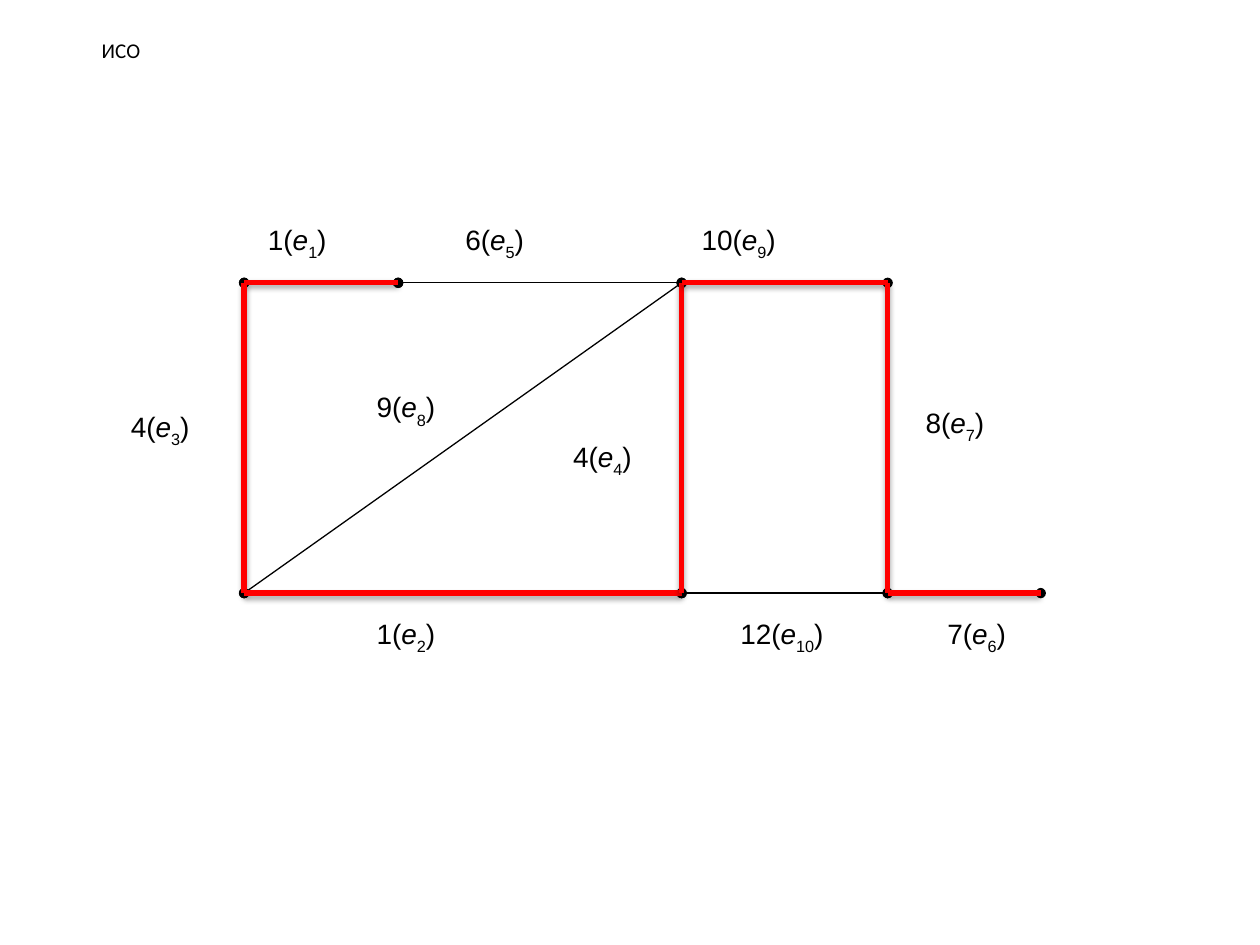
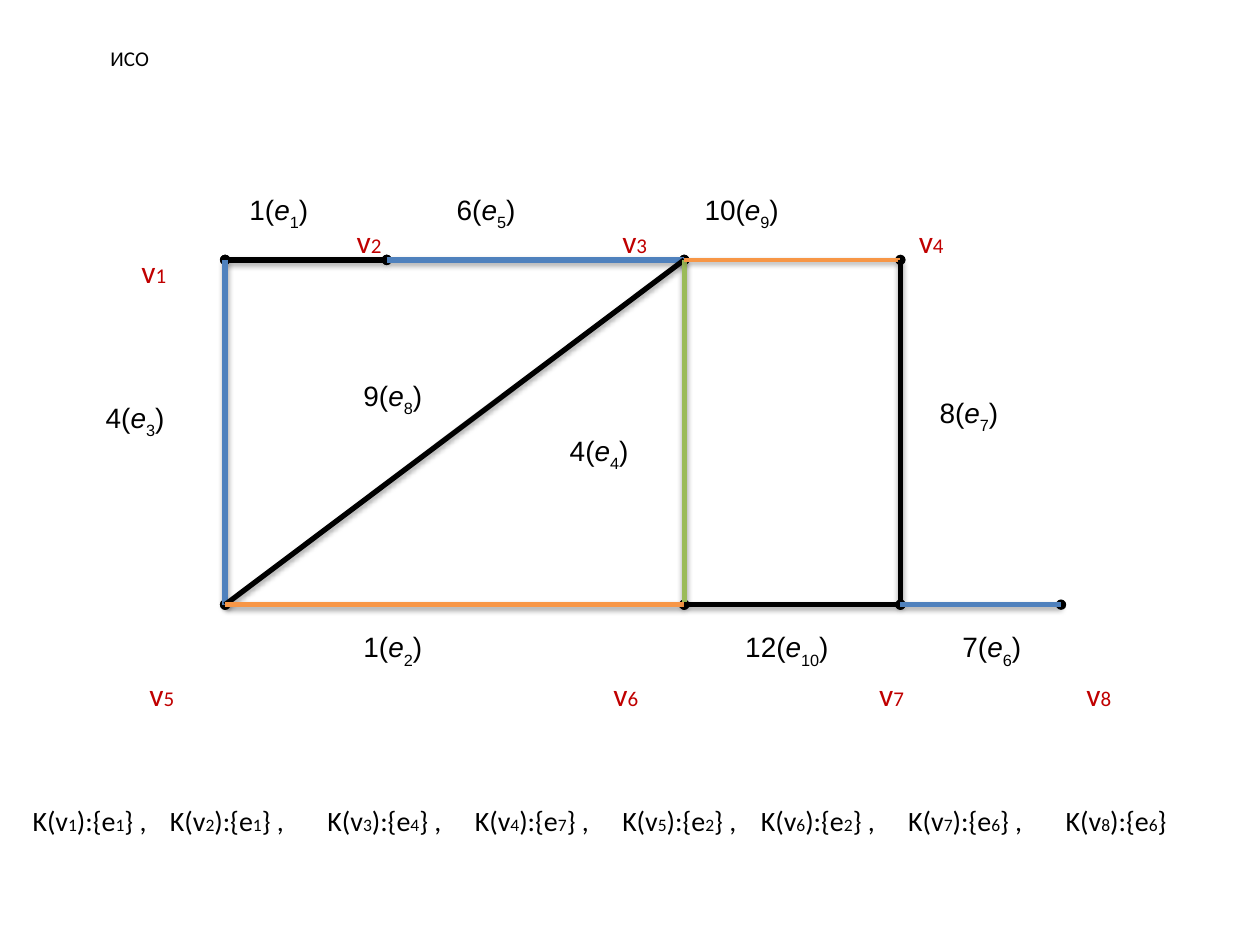
from dataclasses import dataclass
from typing import NamedTuple

from lxml import etree
from pptx import Presentation
from pptx.dml.color import RGBColor
from pptx.enum.shapes import MSO_CONNECTOR, MSO_SHAPE
from pptx.enum.text import MSO_ANCHOR, PP_ALIGN
from pptx.oxml.ns import qn
from pptx.util import Inches, Pt

STRAIGHT = MSO_CONNECTOR.STRAIGHT
RECTANGLE = MSO_SHAPE.RECTANGLE
TOP, MIDDLE = MSO_ANCHOR.TOP, MSO_ANCHOR.MIDDLE
LEFT, CENTER = PP_ALIGN.LEFT, PP_ALIGN.CENTER


@dataclass(frozen=True)
class Theme:
    """Colours, fonts and sizes shared by the slides."""

    black: str = "000000"
    white: str = "FFFFFF"
    red: str = "FF0000"
    dark_red: str = "C00000"
    blue: str = "4F81BD"
    green: str = "9BBB59"
    orange: str = "F79646"
    body_font: str = "Calibri"
    edge_font: str = "Arial"
    title_size: int = 12
    edge_size: int = 16
    vertex_size: int = 18
    vertex_index_size: int = 12
    cut_size: int = 16
    cut_index_size: int = 10
    thin: float = 0.75
    medium: float = 2
    thick: float = 3


class Box(NamedTuple):
    """A box in inches that can be divided by percent."""

    left: float
    top: float
    width: float
    height: float

    def point(self, column, row):
        """Return the place of a column and row in percent."""
        return self.left + self.width * column / 100, self.top + self.height * row / 100

    def inner(self, column, row, width, height):
        """Return an inner box given in percent."""
        return Box(*self.point(column, row), self.width * width / 100, self.height * height / 100)


class Edge(NamedTuple):
    """A weighted edge with the place of its label."""

    start: int
    end: int
    weight: int
    label: tuple
    dotted: bool = True


THEME = Theme()
SLIDE = Box(0, 0, 10, 7.5)
UPPER, LOWER = 14.7, 83.4
VERTICES = {
    1: (13.3, UPPER), 2: (29.6, UPPER), 3: (59.6, UPPER), 4: (81.4, UPPER),
    5: (13.3, LOWER), 6: (59.6, LOWER), 7: (81.4, LOWER), 8: (97.6, LOWER),
}
VERTEX_LABELS = {
    1: (3.6, 11.8), 2: (25.3, 6), 3: (52.1, 6), 4: (82, 6),
    5: (4.4, 96.2), 6: (51.2, 96.2), 7: (78, 96.2), 8: (98.9, 96.2),
}
EDGES = {
    1: Edge(1, 2, 1, (14.5, 0, 13.6, 10.9)),
    5: Edge(2, 3, 6, (35.4, 0, 13.6, 10.9)),
    9: Edge(3, 4, 10, (60.4, 0, 16.4, 13.1)),
    3: Edge(1, 5, 4, (0, 41.4, 11.5, 11.5)),
    2: Edge(5, 6, 1, (26, 87.2, 13.1, 12.8)),
    8: Edge(5, 3, 9, (26, 37, 9.4, 11.5), False),
    4: Edge(3, 6, 4, (46.8, 48, 10.9, 14), False),
    10: Edge(6, 7, 12, (64.5, 87.2, 12.6, 12.8)),
    7: Edge(4, 7, 8, (84.1, 40.5, 11.6, 11.8), False),
    6: Edge(7, 8, 7, (86.4, 87.2, 13.6, 12.8)),
}
TREE_EDGES = dict.fromkeys((1, 3, 2, 4, 9, 7, 6), (THEME.red, THEME.thick))
COLOURED_EDGES = {
    1: (THEME.black, THEME.thick),
    3: (THEME.blue, THEME.thick),
    5: (THEME.blue, THEME.thick),
    8: (THEME.black, THEME.thick),
    4: (THEME.green, THEME.thick),
    9: (THEME.orange, THEME.medium),
    7: (THEME.black, THEME.thick),
    2: (THEME.orange, THEME.thick),
    10: (THEME.black, THEME.thick),
    6: (THEME.blue, THEME.thick),
}
CUT_LEFTS = (1.6, 12.5, 25, 36.7, 48.4, 59.4, 71.1, 83.6)
CUT_EDGES = (1, 1, 4, 7, 2, 2, 6, 6)


def inches(values):
    """Convert numbers to lengths."""
    return [Inches(value) for value in values]


def write(shape, spans, colour, align=LEFT, anchor=TOP):
    """Fill a shape with one paragraph of (text, format) spans."""
    frame = shape.text_frame
    frame.word_wrap = True
    frame.vertical_anchor = anchor
    para = frame.paragraphs[0]
    para.alignment = align
    for text, style in spans:
        span = para.add_run()
        span.text = text
        span.font.color.rgb = RGBColor.from_string(colour)
        for name, value in style.items():
            setattr(span.font, name, value)
    return para


def add_text(page, box, spans, colour, **layout):
    """Add a text box."""
    write(page.shapes.add_textbox(*inches(box)), spans, colour, **layout)


def font(name, size, **extra):
    """Return the format values of a span."""
    return {"name": name, "size": Pt(size), **extra}


def add_shadow(effects, width):
    """Add the soft shadow below a highlighted edge."""
    heavy = width == THEME.thick
    shadow = etree.SubElement(effects, qn("a:outerShdw"), {
        "blurRad": str(Pt(3.1)), "dist": str(Pt(1.8 if heavy else 1.6)),
        "dir": "5400000", "rotWithShape": "0",
    })
    colour = etree.SubElement(shadow, qn("a:srgbClr"), val=THEME.black)
    etree.SubElement(colour, qn("a:alpha"), val="35000" if heavy else "38000")


def add_edge(page, box, edge, colour, width, dotted=False, shadow=False):
    """Draw an edge between its two vertices."""
    ends = box.point(*VERTICES[edge.start]) + box.point(*VERTICES[edge.end])
    line = page.shapes.add_connector(STRAIGHT, *inches(ends))
    line.line.color.rgb = RGBColor.from_string(colour)
    line.line.width = Pt(width)
    if dotted:
        for tag in ("a:headEnd", "a:tailEnd"):
            etree.SubElement(line.line._get_or_add_ln(), qn(tag), type="oval")
    effects = etree.SubElement(line._element.spPr, qn("a:effectLst"))
    if shadow:
        add_shadow(effects, width)


def add_edge_label(page, box, number, edge):
    """Write the weight and name of an edge."""
    label = page.shapes.add_shape(RECTANGLE, *inches(box.inner(*edge.label)))
    label.shadow.inherit = False
    label.fill.solid()
    for colour in (label.fill.fore_color, label.line.color):
        colour.rgb = RGBColor.from_string(THEME.white)
    label.line.width = Pt(THEME.thin)
    plain = font(THEME.edge_font, THEME.edge_size)
    spans = [(f"{edge.weight}(", plain), ("e", {**plain, "italic": True}),
             (str(number), plain), (")", plain)]
    para = write(label, spans, THEME.black)
    para.runs[2].font._element.set("baseline", "-30000")


def add_graph(page, box):
    """Draw the plain graph and its edge labels."""
    for edge in EDGES.values():
        add_edge(page, box, edge, THEME.black, THEME.thin, dotted=edge.dotted)
    for number, edge in EDGES.items():
        add_edge_label(page, box, number, edge)


def add_highlights(page, box, highlights):
    """Draw the coloured edges over the graph."""
    for number, (colour, width) in highlights.items():
        add_edge(page, box, EDGES[number], colour, width, shadow=True)


def add_vertex_labels(page, box):
    """Name the vertices of the graph."""
    for number, place in VERTEX_LABELS.items():
        spans = [("v", font(THEME.body_font, THEME.vertex_size)),
                 (str(number), font(THEME.body_font, THEME.vertex_index_size))]
        add_text(page, box.inner(*place, 7, 10), spans, THEME.dark_red)


def add_cuts(page, box):
    """List the edge chosen for each vertex in a row."""
    large = font(THEME.body_font, THEME.cut_size)
    small = font(THEME.body_font, THEME.cut_index_size)
    for vertex, (left, edge) in enumerate(zip(CUT_LEFTS, CUT_EDGES), 1):
        close = "}" if vertex == len(CUT_EDGES) else "} ,"
        spans = [("K(v", large), (str(vertex), small), ("):{e", large),
                 (str(edge), small), (close, large)]
        add_text(page, box.inner(left, 0, 12.5, 100), spans, THEME.black)


def add_page(deck, title_box):
    """Add a blank page with the title."""
    page = deck.slides.add_slide(deck.slide_layouts[6])
    add_text(page, title_box, [("ИСО", font(THEME.body_font, THEME.title_size))],
             THEME.black, align=CENTER, anchor=MIDDLE)
    return page


def tree_page(deck):
    """Build the page with the red spanning tree."""
    page = add_page(deck, SLIDE.inner(4.7, 3.1, 9.8, 4.3))
    graph = SLIDE.inner(9.4, 22.9, 75, 47.8)
    add_graph(page, graph)
    add_highlights(page, graph, TREE_EDGES)


def cuts_page(deck):
    """Build the page with coloured edges and the row of cuts."""
    page = add_page(deck, SLIDE.inner(5, 4, 10.6, 4.3))
    graph = SLIDE.inner(7.4, 19.7, 78.7, 53.1)
    add_graph(page, graph)
    add_vertex_labels(page, graph)
    add_highlights(page, graph, COLOURED_EDGES)
    add_cuts(page, SLIDE.inner(0, 84.4, 100, 4.9))


def main():
    """Build and save the deck."""
    deck = Presentation()
    deck.slide_width, deck.slide_height = inches(SLIDE[2:])
    tree_page(deck)
    cuts_page(deck)
    deck.save("out.pptx")


if __name__ == "__main__":
    main()
